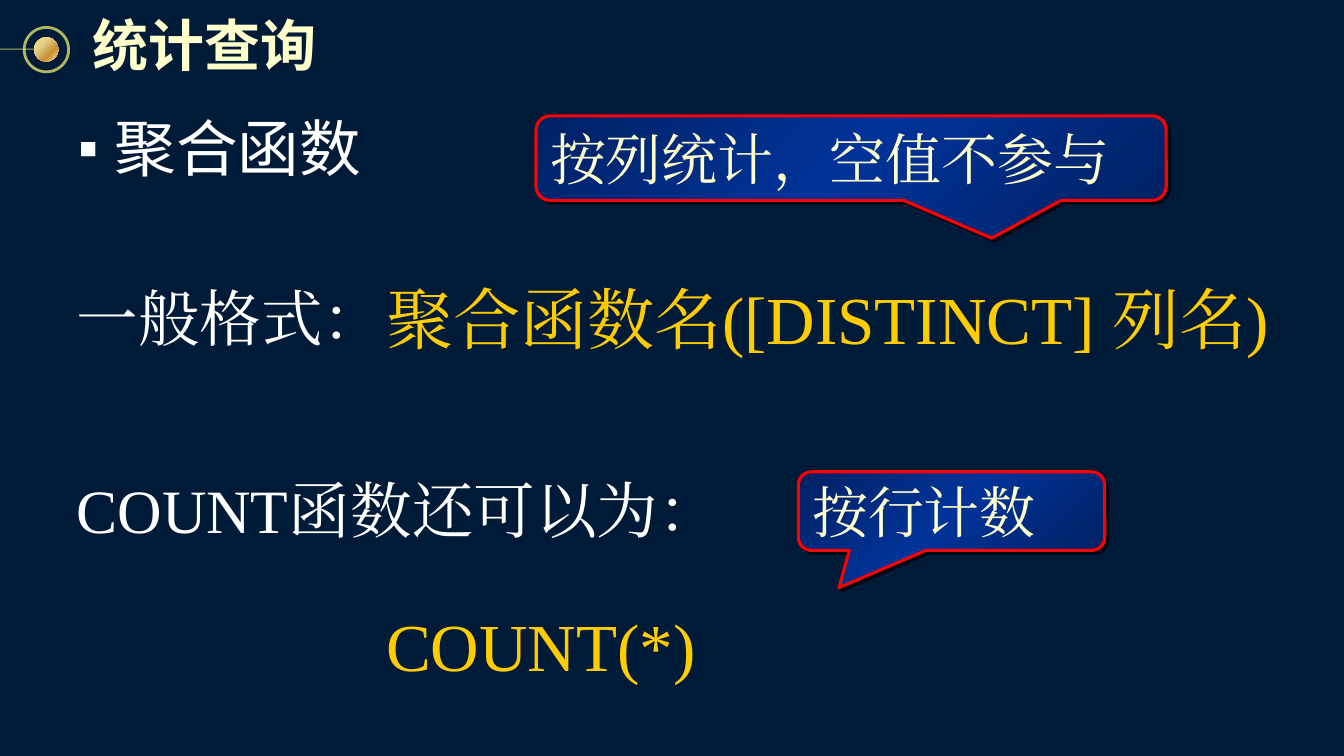
from lxml import etree
from pptx import Presentation
from pptx.dml.color import RGBColor
from pptx.enum.shapes import MSO_CONNECTOR, MSO_SHAPE
from pptx.enum.text import MSO_ANCHOR, MSO_AUTO_SIZE, PP_ALIGN
from pptx.oxml import parse_xml
from pptx.oxml.ns import nsdecls, qn
from pptx.util import Cm, Pt

ELLIPSE = MSO_SHAPE.OVAL
CALLOUT = MSO_SHAPE.ROUNDED_RECTANGULAR_CALLOUT
STRAIGHT = MSO_CONNECTOR.STRAIGHT
TOP, MIDDLE = MSO_ANCHOR.TOP, MSO_ANCHOR.MIDDLE
NO_AUTOFIT = MSO_AUTO_SIZE.NONE
LEFT, JUSTIFY = PP_ALIGN.LEFT, PP_ALIGN.JUSTIFY

SANS = "Noto Sans CJK SC"
SERIF = "Times New Roman"
COLORS = {
    "background": "001B37",
    "ornament": "FCF873",
    "cream": "FFFFCC",
    "white": "FFFFFF",
    "gold": "FFCC00",
    "red": "FF0000",
    "shadow": "000514",
}
BEAD_STOPS = [(0, "FCD860"), (31, "E6D38F"), (68, "C69135"), (100, "F1DF97")]
CALLOUT_STOPS = [(0, "002163"), (50, "003399"), (100, "002163")]


def color(name):
    return RGBColor.from_string(COLORS[name])


def shadow_effect(distance):
    return parse_xml(
        f'<a:effectLst {nsdecls("a")}><a:outerShdw dist="{Pt(distance)}" dir="2700000" '
        f'algn="ctr" rotWithShape="0"><a:srgbClr val="{COLORS["shadow"]}"/>'
        f'</a:outerShdw></a:effectLst>'
    )


def write_text(box, text, *, font, size, ink, bold=False, shadow=False, anchor=TOP,
               align=LEFT, inset=(0, 0), hanging=0, bullet=None, spacing=1):
    frame = box.text_frame
    frame.word_wrap = True
    frame.auto_size = NO_AUTOFIT
    frame.vertical_anchor = anchor
    frame.margin_left = frame.margin_right = Cm(inset[0])
    frame.margin_top = frame.margin_bottom = Cm(inset[1])
    para = frame.paragraphs[0]
    para.alignment = align
    para.line_spacing = spacing
    para.space_before = para.space_after = Pt(0)
    properties = para._p.get_or_add_pPr()
    properties.set("marL", str(Cm(hanging)))
    properties.set("indent", str(-Cm(hanging)))
    if bullet:
        tint = etree.SubElement(properties, qn("a:buClr"))
        etree.SubElement(tint, qn("a:srgbClr"), val=COLORS[ink])
        etree.SubElement(properties, qn("a:buSzPct"), val="85000")
        etree.SubElement(properties, qn("a:buFont"), typeface=SANS)
        etree.SubElement(properties, qn("a:buChar"), char=bullet)
    else:
        etree.SubElement(properties, qn("a:buNone"))
    span = para.add_run()
    span.text = text
    span.font.name = font
    span.font.size = Pt(size)
    span.font.bold = bold
    span.font.color.rgb = color(ink)
    latin = span.font._element.find(qn("a:latin"))
    if shadow:
        latin.addprevious(shadow_effect(2.8))
    latin.addnext(parse_xml(f'<a:ea {nsdecls("a")} typeface="{font}"/>'))


def place(box, left, top, width, height):
    box.left, box.top, box.width, box.height = map(Cm, (left, top, width, height))
    return box


def add_label(page, bounds, text, **style):
    box = page.shapes.add_textbox(*map(Cm, bounds))
    write_text(box, text, font=SERIF, **style)


def add_figure(page, kind, bounds):
    figure = page.shapes.add_shape(kind, *map(Cm, bounds))
    figure.shadow.inherit = False
    return figure


def fill_gradient(figure, stops, angle):
    figure.fill.gradient()
    gradient = figure._element.spPr.find(qn("a:gradFill"))
    stop_list = gradient.find(qn("a:gsLst"))
    for old_stop in list(stop_list):
        stop_list.remove(old_stop)
    for position, tint in stops:
        stop = etree.SubElement(stop_list, qn("a:gs"), pos=str(position * 1000))
        etree.SubElement(stop, qn("a:srgbClr"), val=tint)
    gradient.find(qn("a:lin")).set("ang", str(angle * 60000))


def set_ornament_line(line, width):
    line.color.rgb = color("ornament")
    line.width = Pt(width)
    tint = line._ln.find(qn("a:solidFill"))[0]
    etree.SubElement(tint, qn("a:alpha"), val="70000")


def add_ornament(page):
    ring = add_figure(page, ELLIPSE, (0.61, 0.69, 1.12, 1.12))
    ring.rotation = 270
    ring.fill.background()
    set_ornament_line(ring.line, 2)
    stem = page.shapes.add_connector(STRAIGHT, Cm(0), Cm(1.24), Cm(0.86), Cm(1.24))
    set_ornament_line(stem.line, 0.75)
    etree.SubElement(stem._element.spPr, qn("a:effectLst"))
    bead = add_figure(page, ELLIPSE, (0.86, 0.94, 0.61, 0.61))
    bead.rotation = 270
    fill_gradient(bead, BEAD_STOPS, 135)
    bead.line.fill.background()


def add_callout(page, bounds, text, tip):
    callout = add_figure(page, CALLOUT, bounds)
    callout.adjustments[0], callout.adjustments[1] = tip
    fill_gradient(callout, CALLOUT_STOPS, 45)
    callout.line.color.rgb = color("red")
    callout.line.width = Pt(2.25)
    effects = callout._element.spPr.find(qn("a:effectLst"))
    effects.getparent().replace(effects, shadow_effect(2.8))
    write_text(callout, text, font=SERIF, size=40, ink="cream", anchor=MIDDLE,
               align=JUSTIFY, inset=(0.25, 0.13))


def main():
    deck = Presentation()
    deck.slide_width, deck.slide_height = Cm(33.87), Cm(19.05)
    page = deck.slides.add_slide(deck.slide_layouts[1])
    page.background.fill.solid()
    page.background.fill.fore_color.rgb = color("background")
    add_ornament(page)

    title = place(page.shapes.title, 2.13, 0.05, 6.6, 2.11)
    write_text(title, "统计查询", font=SANS, size=40, ink="cream", bold=True,
               shadow=True, anchor=MIDDLE, inset=(0.2, 0.2))
    topic = place(page.placeholders[1], 1.32, 2.64, 8.2, 2.13)
    write_text(topic, "聚合函数", font=SANS, size=44, ink="white",
               inset=(0.25, 0.13), hanging=0.76, bullet="▪")

    heading = dict(size=44, ink="white", anchor=MIDDLE)
    formula = dict(size=48, ink="gold", hanging=0.28, spacing=1.08)
    add_label(page, (1.93, 7.04, 31.01, 1.88), "一般格式：", **heading)
    add_label(page, (9.73, 6.83, 22.61, 1.88), "聚合函数名([DISTINCT] 列名)", **formula)
    add_label(page, (1.93, 11.89, 16.03, 1.88), "COUNT函数还可以为：", **heading)
    add_label(page, (9.73, 15.06, 18.19, 1.35), "COUNT(*)", **formula)

    add_callout(page, (13.51, 2.92, 15.88, 2.13), "按列统计，空值不参与", (0.223, 0.947))
    add_callout(page, (20.12, 11.89, 7.72, 1.98), "按行计数", (-0.367, 0.974))
    deck.save("out.pptx")


if __name__ == "__main__":
    main()
